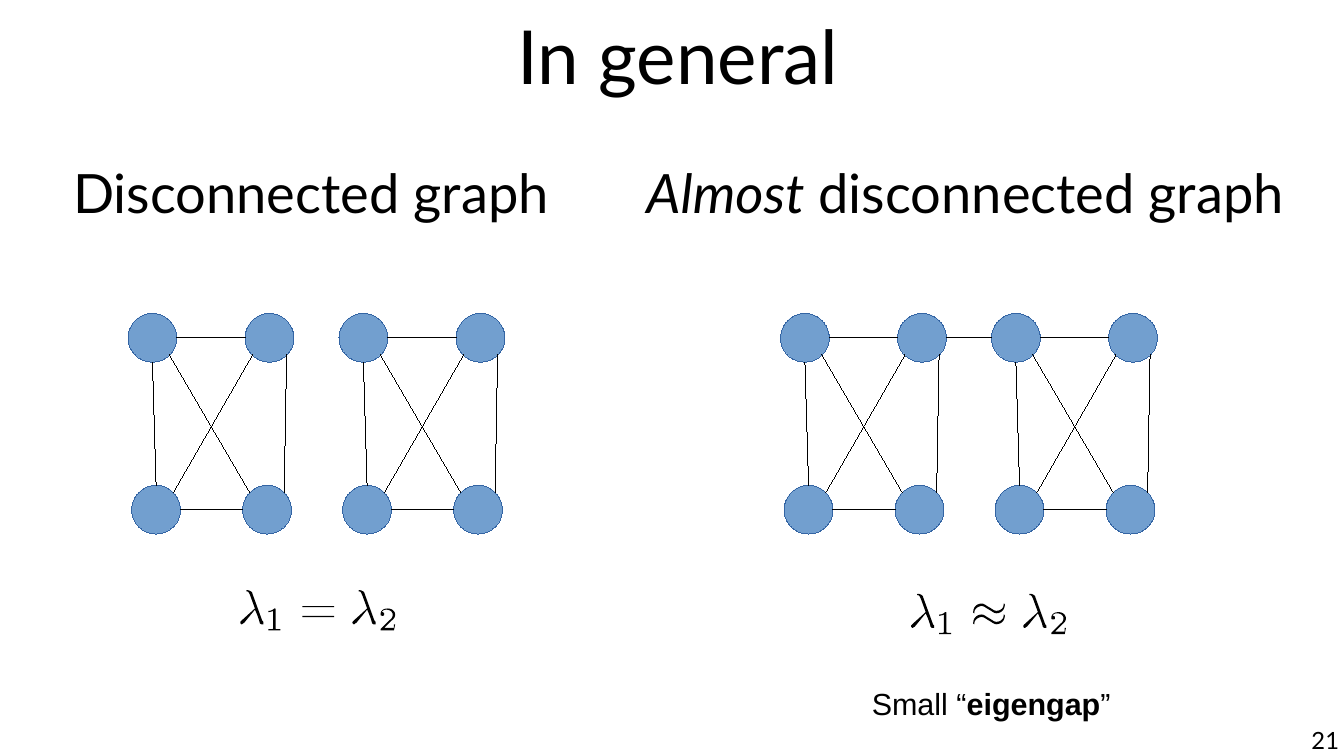
"""Build the slide that compares a disconnected and an almost disconnected graph."""
from lxml.etree import SubElement
from pptx import Presentation
from pptx.dml.color import RGBColor
from pptx.enum.shapes import MSO_CONNECTOR, MSO_SHAPE
from pptx.enum.text import MSO_ANCHOR, PP_ALIGN
from pptx.oxml.ns import qn
from pptx.util import Inches, Pt

COLORS = {"text": "000000", "edge": "000000", "node": "729FCF", "node_rim": "3465A4"}
HAIRLINE = Pt(0.01)
NODE_SIZE = 0.4
DIAGONAL = 0.14
CLUSTER_STEP = 1.73
NODES = {
    "top_left": (0, 0),
    "top_right": (0.96, 0),
    "bottom_left": (0.03, 1.41),
    "bottom_right": (0.94, 1.41),
}
SIDES = {
    "left": (-NODE_SIZE / 2, 0),
    "right": (NODE_SIZE / 2, 0),
    "top": (0, -NODE_SIZE / 2),
    "bottom": (0, NODE_SIZE / 2),
    "upper_left": (-DIAGONAL, -DIAGONAL),
    "upper_right": (DIAGONAL, -DIAGONAL),
    "lower_left": (-DIAGONAL, DIAGONAL),
    "lower_right": (DIAGONAL, DIAGONAL),
}
EDGES = [
    ("top_left", "right", "top_right", "left"),
    ("top_left", "bottom", "bottom_left", "top"),
    ("bottom_left", "right", "bottom_right", "left"),
    ("top_left", "lower_right", "bottom_right", "upper_left"),
    ("top_right", "lower_left", "bottom_left", "upper_right"),
    ("top_right", "lower_right", "bottom_right", "upper_right"),
]
LAMBDA = ("12 16 C 14 20 16 26 16 27 C 17 28 17 28 18 28 L 19 28 C 19 28 19 27 19 27 "
          "C 19 26 19 26 18 25 L 10 3 C 10 1 7 0 6 0 C 5 0 5 0 5 1 C 7 1 7 2 8 4 "
          "L 12 15 L 1 25 C 0 26 0 26 0 27 C 0 27 1 28 1 28 C 2 28 2 27 3 27")
ONE = ("6 1 C 6 0 6 0 5 0 C 3 2 1 2 0 2 L 0 3 C 0 3 2 3 4 2 L 4 16 C 4 17 4 17 1 17 "
       "L 0 17 L 0 18 L 10 18 L 10 17 L 9 17 C 6 17 6 17 6 16")
TWO = ("12 13 L 11 13 C 11 14 11 15 11 16 C 10 16 8 16 8 16 L 3 16 C 6 13 7 12 8 11 "
       "C 10 9 12 8 12 5 C 12 2 9 0 6 0 C 2 0 0 2 0 5 C 0 6 1 6 2 6 C 2 6 3 6 3 5 "
       "C 3 4 3 3 1 3 C 2 1 4 1 5 1 C 8 1 10 3 10 5 C 10 8 8 9 7 10 L 0 17 L 0 18 L 11 18")
BAR = "0 0 L 26 0 L 26 1 L 0 1"
WAVE = ("26 1 C 26 1 26 0 25 0 C 25 0 25 0 25 1 C 25 4 22 6 19 6 C 17 6 15 4 13 3 "
        "C 11 2 9 0 7 0 C 3 0 0 3 0 7 C 0 7 0 8 1 8 C 1 8 1 7 1 7 C 1 4 5 2 7 2 "
        "C 9 2 11 4 13 5 C 15 6 17 8 19 8 C 23 8 26 5 26 1")
EQUAL = (BAR, 0.13, 8)
ALMOST_EQUAL = (WAVE, 0.08, 9)


def color(name):
    """Return the named colour."""
    return RGBColor.from_string(COLORS[name])


def add_text(slide, box, runs, size, font="Lato", align=PP_ALIGN.LEFT,
             anchor=MSO_ANCHOR.TOP, inset=(0, 0)):
    """Place one paragraph of (wording, style) runs in a box."""
    frame = slide.shapes.add_textbox(*map(Inches, box)).text_frame
    frame.word_wrap = True
    frame.vertical_anchor = anchor
    frame.margin_left = frame.margin_right = Inches(inset[0])
    frame.margin_top = frame.margin_bottom = Inches(inset[1])
    paragraph = frame.paragraphs[0]
    paragraph.alignment = align
    paragraph.font.name = font
    paragraph.font.size = Pt(size)
    paragraph.font.color.rgb = color("text")
    for wording, style in runs:
        run = paragraph.add_run()
        run.text = wording
        if style == "italic":
            run.font.italic = True
        elif style == "bold":
            run.font.bold = True


def trace(outline):
    """Turn an outline of lines and cubic curves into points."""
    start, *segments = [
        [float(number) for number in part.split()]
        for part in outline.replace("C", "L").split("L")]
    points = [tuple(start)]
    for segment in segments:
        if len(segment) == 2:
            points.append(tuple(segment))
            continue
        controls = [points[-1], segment[:2], segment[2:4], segment[4:]]
        for step in range(1, 7):
            t = step / 6
            weights = ((1 - t) ** 3, 3 * t * (1 - t) ** 2, 3 * t * t * (1 - t), t ** 3)
            points.append(tuple(
                sum(weight * control[axis] for weight, control in zip(weights, controls))
                for axis in (0, 1)))
    return points


def add_glyph(slide, left, top, outline, repeat_drop=None):
    """Draw a symbol, with its outline repeated lower down if asked."""
    drops = [0] if repeat_drop is None else [0, repeat_drop]
    builder = slide.shapes.build_freeform()
    for drop in drops:
        points = [(Inches(x / 100), Inches((y + drop) / 100)) for x, y in trace(outline)]
        builder.move_to(*points[0])
        builder.add_line_segments(points[1:], close=True)
    glyph = builder.convert_to_shape(Inches(left), Inches(top))
    glyph.shadow.inherit = False
    glyph.fill.solid()
    glyph.fill.fore_color.rgb = color("text")
    glyph.line.fill.background()


def add_formula(slide, left, top, relation):
    """Draw the relation between the first two eigenvalues."""
    sign, sign_top, sign_drop = relation
    for eigenvalue_left, index in ((0.02, ONE), (0.94, TWO)):
        add_glyph(slide, left + eigenvalue_left, top, LAMBDA)
        add_glyph(slide, left + eigenvalue_left + 0.23, top + 0.15, index)
    add_glyph(slide, left + 0.53, top + sign_top, sign, sign_drop)


def add_edge(slide, start, end):
    """Draw a hairline between two points."""
    edge = slide.shapes.add_connector(
        MSO_CONNECTOR.STRAIGHT, *map(Inches, (*start, *end)))
    edge.line.color.rgb = color("edge")
    edge.line.width = HAIRLINE
    SubElement(edge._element.spPr, qn("a:effectLst"))


def node_point(left, top, node, side):
    """Return a point on the rim of a node in the cluster at left, top."""
    return tuple(origin + NODE_SIZE / 2 + offset + reach for origin, offset, reach
                 in zip((left, top), NODES[node], SIDES[side]))


def add_cluster(slide, left, top):
    """Draw four nodes, each joined to all the others."""
    for x, y in NODES.values():
        node = slide.shapes.add_shape(
            MSO_SHAPE.OVAL, Inches(left + x), Inches(top + y),
            Inches(NODE_SIZE), Inches(NODE_SIZE))
        node.shadow.inherit = False
        node.fill.solid()
        node.fill.fore_color.rgb = color("node")
        node.line.color.rgb = color("node_rim")
        node.line.width = HAIRLINE
    for first, first_side, second, second_side in EDGES:
        add_edge(slide, node_point(left, top, first, first_side),
                 node_point(left, top, second, second_side))


def add_graph(slide, left, top, bridged):
    """Draw two clusters side by side, with a bridge if they are connected."""
    neighbour = left + CLUSTER_STEP
    add_cluster(slide, left, top)
    add_cluster(slide, neighbour, top)
    if bridged:
        add_edge(slide, node_point(left, top, "top_right", "right"),
                 node_point(neighbour, top, "top_left", "left"))


def add_column(slide, box, heading, graph_indent, bridged, relation, formula_offset):
    """Place a heading, its graph and the eigenvalue relation in a column."""
    left, top = box[:2]
    add_text(slide, box, heading, 32)
    add_graph(slide, left + graph_indent, top + 1.26, bridged)
    add_formula(slide, left + formula_offset[0], top + formula_offset[1], relation)


def main():
    """Assemble and save the slide."""
    deck = Presentation()
    deck.slide_width, deck.slide_height = Inches(11.02), Inches(6.2)
    slide = deck.slides.add_slide(deck.slide_layouts[6])
    add_text(slide, (0.6, 0, 9.92, 0.9), [("In general", None)], 44,
             align=PP_ALIGN.CENTER, anchor=MSO_ANCHOR.MIDDLE)
    add_column(slide, (0.6, 1.31, 4.84, 4.79), [("Disconnected graph", None)],
               0.45, False, EQUAL, (1.35, 3.53))
    add_column(slide, (5.3, 1.31, 5.72, 4.79),
               [("Almost", "italic"), (" disconnected graph", None)],
               1.1, True, ALMOST_EQUAL, (2.15, 3.56))
    add_text(slide, (7.05, 5.57, 3, 0.38),
             [("Small “", None), ("eigengap", "bold"), ("”", None)], 18,
             font="Arial", inset=(0.1, 0.05))
    add_text(slide, (8.41, 5.95, 2.57, 0.25), [("21", None)], 14, align=PP_ALIGN.RIGHT)
    deck.save("out.pptx")


if __name__ == "__main__":
    main()
